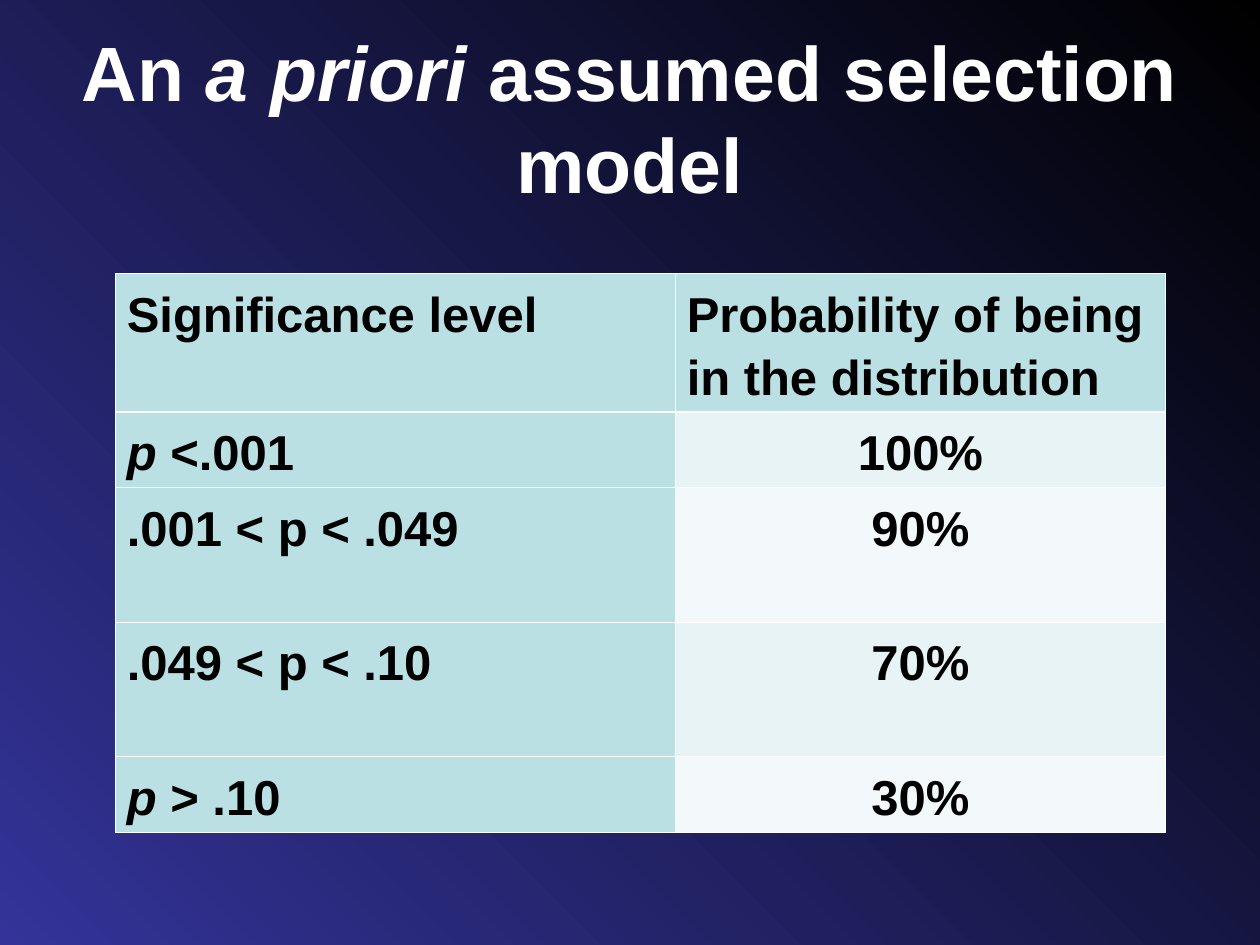
from lxml.etree import SubElement
from pptx import Presentation
from pptx.dml.color import RGBColor
from pptx.enum.text import MSO_ANCHOR, PP_ALIGN
from pptx.oxml.ns import qn
from pptx.util import Pt

HEADER = ("Significance level", "Probability of being in the distribution")
# Significance level as (text, italic) runs, probability, row height
LEVELS = [
    ([("p", True), (" <.001", False)], "100%", 38.9),
    ([(".001 < p < .049", False)], "90%", 77),
    ([(".049 < p < .10", False)], "70%", 77),
    ([("p", True), (" > .10", False)], "30%", 38.9),
]
HEADER_HEIGHT = 77
TEAL, BANDS = "BBE0E3", ("E7F3F4", "F3F9FA")


def color(value):
    return RGBColor.from_string(value)


def write(paragraph, runs, size, text_color, align):
    for text, italic in runs:
        run = paragraph.add_run()
        run.text = text
        if italic:
            run.font.italic = True
    paragraph.alignment = align
    font = paragraph.font
    font.name, font.size, font.bold = "Arial", Pt(size), True
    font.color.rgb = color(text_color)


def add_background(slide):
    fill = slide.background.fill
    fill.gradient()
    fill.gradient_angle = 45
    for stop, position, value in zip(fill.gradient_stops, (0, 1), ("333399", "000000")):
        stop.position = position
        stop.color.rgb = color(value)


def add_title(slide, left, top, width, height):
    title = slide.shapes.title
    title.left, title.top, title.width, title.height = map(Pt, (left, top, width, height))
    frame = title.text_frame
    frame.vertical_anchor = MSO_ANCHOR.MIDDLE
    runs = [("An ", False), ("a priori ", True), ("assumed selection model", False)]
    write(frame.paragraphs[0], runs, 44, "FFFFFF", PP_ALIGN.CENTER)


def set_borders(cell, widths):
    properties = cell._tc.get_or_add_tcPr()
    for index, (side, width) in enumerate(widths.items()):
        line = SubElement(properties, qn(f"a:ln{side}"), w=str(Pt(width)))
        solid = SubElement(line, qn("a:solidFill"))
        SubElement(solid, qn("a:srgbClr"), val="FFFFFF")
        properties.insert(index, line)  # borders come before the fill


def fill_cell(cell, runs, align, fill, top_line, bottom_line):
    cell.margin_left = cell.margin_right = Pt(6.5)
    cell.margin_top = cell.margin_bottom = Pt(3.6)
    cell.fill.solid()
    cell.fill.fore_color.rgb = color(fill)
    paragraph = cell.text_frame.paragraphs[0]
    write(paragraph, runs, 28, "000000", align)
    paragraph.line_spacing = 1.15
    set_borders(cell, {"L": 0.45, "R": 0.45, "T": top_line, "B": bottom_line})


def add_selection_table(slide, left, top, width, first_width):
    heights = [HEADER_HEIGHT] + [height for _, _, height in LEVELS]
    table = slide.shapes.add_table(
        len(heights), 2, Pt(left), Pt(top), Pt(width), Pt(sum(heights))).table
    table.columns[0].width = Pt(first_width)
    table.columns[1].width = Pt(width - first_width)
    for row, height in zip(table.rows, heights):
        row.height = Pt(height)

    # Header row, with a heavier rule below it
    for column, heading in enumerate(HEADER):
        fill_cell(table.cell(0, column), [(heading, False)], PP_ALIGN.LEFT, TEAL, 0.45, 1.47)

    # One row per significance level
    for row, (level, probability, _) in enumerate(LEVELS, start=1):
        top_line = 1.47 if row == 1 else 0.45
        fill_cell(table.cell(row, 0), level, PP_ALIGN.LEFT, TEAL, top_line, 0.45)
        fill_cell(table.cell(row, 1), [(probability, False)], PP_ALIGN.CENTER,
                  BANDS[(row - 1) % 2], top_line, 0.45)


def main():
    deck = Presentation()
    deck.slide_width, deck.slide_height = Pt(720), Pt(540)
    slide = deck.slides.add_slide(deck.slide_layouts[5])
    add_background(slide)
    add_title(slide, 36, 21.6, 648, 90)
    add_selection_table(slide, 66, 156.4, 600, 320)
    deck.save("out.pptx")


if __name__ == "__main__":
    main()
